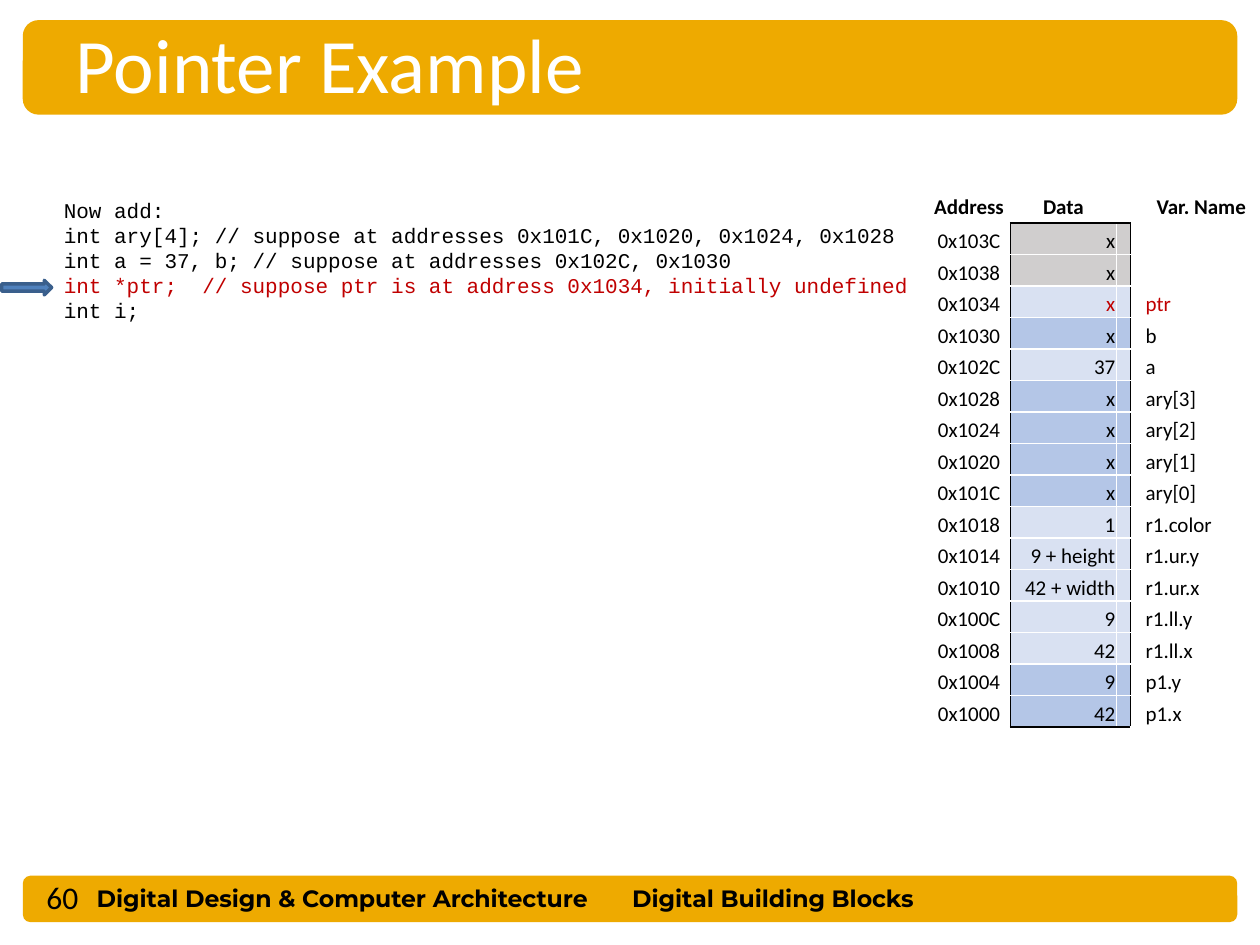
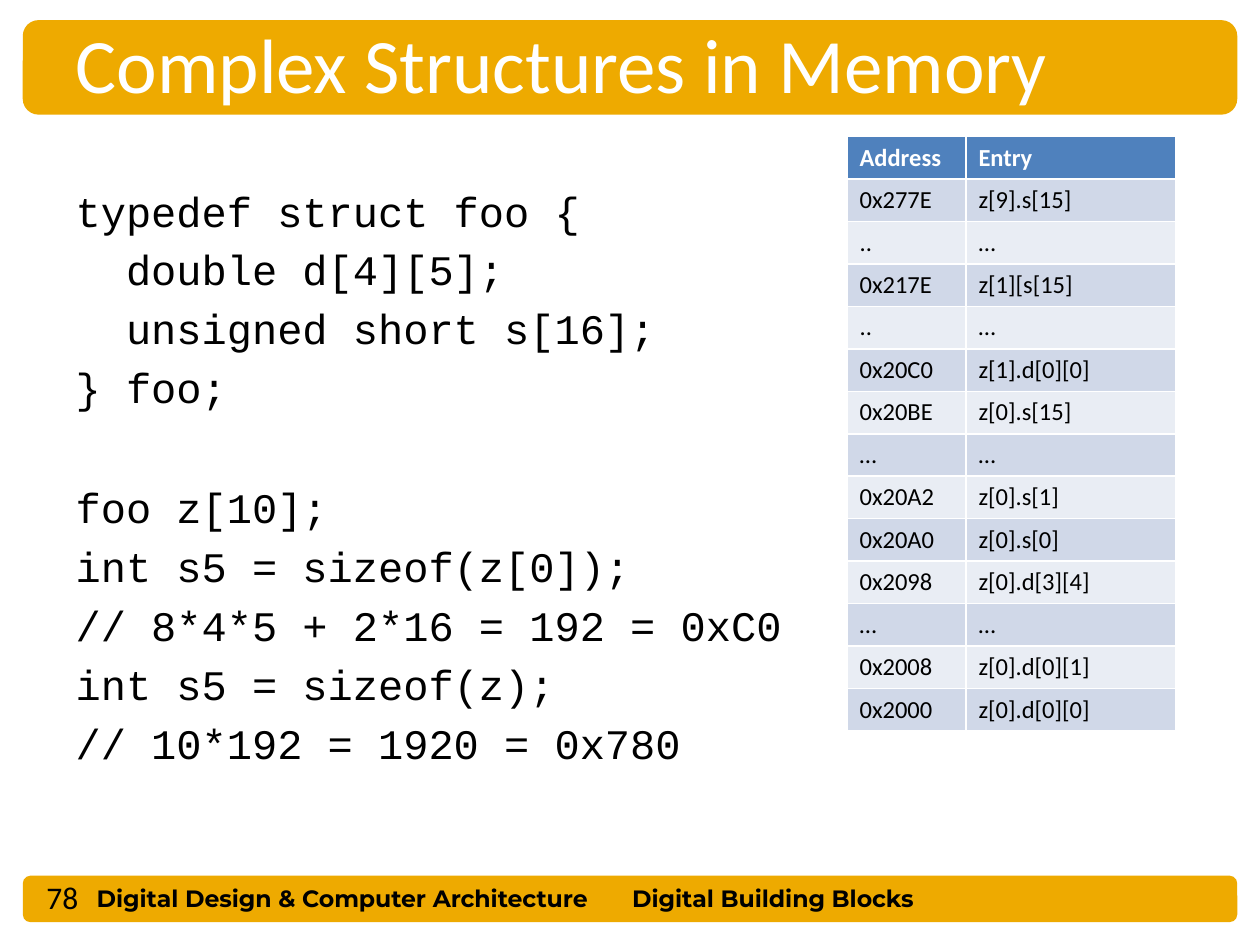
from lxml import etree
from pptx import Presentation
from pptx import util as u
from pptx.dml.color import RGBColor
from pptx.enum import shapes, text
from pptx.oxml.ns import qn

Pt = u.Pt
GOLD, BLACK, WHITE, RED = "EEAA00", "000000", "FFFFFF", "C00000"
BLUE, BLUE_EDGE, GREY = "4F81BD", "3A5F8C", "D0CECE"
PALE, MID = "D9E1F2", "B4C6E7"
BAND_ROWS = ("E9EDF4", "D0D8E8")
SANS, CODE, FOOTER = "Calibri", "Courier New", "Montserrat"
TITLE_ONLY, TITLE_AND_BODY = 5, 1


def color(value):
    return RGBColor.from_string(value)


class Slides:
    """Shared style and the slide being built."""

    def __init__(self):
        self.deck = Presentation()
        self.deck.slide_width, self.deck.slide_height = Pt(720), Pt(540)
        self.page = None

    def start(self, layout, title, number):
        self.page = self.deck.slides.add_slide(self.deck.slide_layouts[layout])
        # Bands at top and bottom
        for top, height in ((11.5, 54), (500.4, 26.6)):
            self.shape(shapes.MSO_SHAPE.ROUNDED_RECTANGLE, 13, top, 694, height, GOLD)
        # Footer
        for left, width, label in ((48.2, 320, "Digital Design & Computer Architecture"),
                                   (354.2, 212, "Digital Building Blocks")):
            self.label(left, 501.8, width, 24, label, 13.5, FOOTER, bold=True)
        self.label(19.4, 498.2, 59, 28, str(number), 18, SANS)
        # Title, in front of its band
        box = self.placeholder(self.page.shapes.title, 36, 5.8, 624, 60.5)
        box.text_frame.vertical_anchor = text.MSO_ANCHOR.MIDDLE
        para = box.text_frame.paragraphs[0]
        para.alignment = text.PP_ALIGN.LEFT
        self.add_span(para, title, 44, SANS, WHITE)

    def placeholder(self, box, left, top, width, height):
        box.left, box.top, box.width, box.height = map(Pt, (left, top, width, height))
        box.element.getparent().append(box.element)
        box.text_frame.auto_size = text.MSO_AUTO_SIZE.NONE
        return box

    def add_span(self, para, string, size, font, ink=BLACK, bold=False):
        span = para.add_run()
        span.text = string
        span.font.size, span.font.name, span.font.bold = Pt(size), font, bold
        span.font.color.rgb = color(ink)

    def shape(self, kind, left, top, width, height, fill, line=None):
        box = self.page.shapes.add_shape(kind, *map(Pt, (left, top, width, height)))
        box.shadow.inherit = False
        box.fill.solid()
        box.fill.fore_color.rgb = color(fill)
        if line:
            box.line.color.rgb, box.line.width = color(line), Pt(2)
        else:
            box.line.fill.background()

    def frame(self, left, top, width, height):
        box = self.page.shapes.add_textbox(*map(Pt, (left, top, width, height)))
        box.text_frame.word_wrap = True
        return box.text_frame

    def label(self, left, top, width, height, string, size, font, bold=False):
        para = self.frame(left, top, width, height).paragraphs[0]
        self.add_span(para, string, size, font, bold=bold)

    def code(self, frame, lines, size):
        """Add (string, ink) lines and return their paragraphs."""
        paras = []
        for string, ink in lines:
            para = frame.add_paragraph() if paras else frame.paragraphs[0]
            self.add_span(para, string, size, CODE, ink)
            paras.append(para)
        return paras

    def table(self, left, top, widths, rows, row_height):
        grid = self.page.shapes.add_table(
            rows, len(widths), Pt(left), Pt(top), Pt(sum(widths)), Pt(rows * row_height)).table
        for column, width in zip(grid.columns, widths):
            column.width = Pt(width)
        for row in grid.rows:
            row.height = Pt(row_height)
        return grid

    def cell(self, cell, string, size, ink=BLACK, bold=False, fill=None, align="LEFT"):
        para = cell.text_frame.paragraphs[0]
        para.alignment = text.PP_ALIGN[align]
        if string:
            self.add_span(para, string, size, SANS, ink, bold)
        else:
            end = etree.SubElement(para._p, qn("a:endParaRPr"))
            end.set("sz", str(size * 100))
        if fill:
            cell.fill.solid()
            cell.fill.fore_color.rgb = color(fill)
        else:
            cell.fill.background()

    def borders(self, cell, **sides):
        """Draw 1 pt borders; L, R, T and B name the sides."""
        properties = cell._tc.get_or_add_tcPr()
        for side in "LRTB":
            if side in sides:
                line = etree.SubElement(properties, qn("a:ln" + side), w=str(Pt(1)))
                fill = etree.SubElement(line, qn("a:solidFill"))
                etree.SubElement(fill, qn("a:srgbClr"), val=sides[side])


MEMORY = [  # address, data, variable, fill
    ("0x103C", "x", "", GREY),
    ("0x1038", "x", "", GREY),
    ("0x1034", "x", "ptr", PALE),
    ("0x1030", "x", "b", MID),
    ("0x102C", "37", "a", PALE),
    ("0x1028", "x", "ary[3]", MID),
    ("0x1024", "x", "ary[2]", MID),
    ("0x1020", "x", "ary[1]", MID),
    ("0x101C", "x", "ary[0]", MID),
    ("0x1018", "1", "r1.color", PALE),
    ("0x1014", "9 + height", "r1.ur.y", PALE),
    ("0x1010", "42 + width", "r1.ur.x", PALE),
    ("0x100C", "9", "r1.ll.y", PALE),
    ("0x1008", "42", "r1.ll.x", PALE),
    ("0x1004", "9", "p1.y", MID),
    ("0x1000", "42", "p1.x", MID),
]

ENTRIES = [
    ("Address", "Entry"),
    ("0x277E", "z[9].s[15]"),
    ("..", "…"),
    ("0x217E", "z[1][s[15]"),
    ("..", "…"),
    ("0x20C0", "z[1].d[0][0]"),
    ("0x20BE", "z[0].s[15]"),
    ("…", "…"),
    ("0x20A2", "z[0].s[1]"),
    ("0x20A0", "z[0].s[0]"),
    ("0x2098", "z[0].d[3][4]"),
    ("…", "…"),
    ("0x2008", "z[0].d[0][1]"),
    ("0x2000", "z[0].d[0][0]"),
]


def pointer_example(slides):
    slides.start(TITLE_ONLY, "Pointer Example", 60)
    # Declarations, with an arrow at the current one
    declarations = [
        ("Now add:", BLACK),
        ("int ary[4]; // suppose at addresses 0x101C, 0x1020, 0x1024, 0x1028", BLACK),
        ("int a = 37, b; // suppose at addresses 0x102C, 0x1030", BLACK),
        ("int *ptr;  // suppose ptr is at address 0x1034, initially undefined", RED),
        ("int i;", BLACK),
    ]
    for para in slides.code(slides.frame(29.4, 109.4, 500.6, 80), declarations, 12):
        para.line_spacing = Pt(14.3)
    slides.shape(shapes.MSO_SHAPE.RIGHT_ARROW, 1, 160.2, 28.5, 8.3, BLUE, BLUE_EDGE)

    # Memory map: the narrow columns pad the data and part it from the names
    grid = slides.table(530, 109.4, (47.5, 60.5, 8, 8, 65), len(MEMORY) + 1, 18)
    grid.first_row = grid.horz_banding = False
    for row in range(len(MEMORY) + 1):
        for column in range(5):
            cell = grid.cell(row, column)
            cell.margin_left = cell.margin_right = cell.margin_top = Pt(0.7)
            cell.margin_bottom = 0
            cell.vertical_anchor = text.MSO_ANCHOR.BOTTOM if row else text.MSO_ANCHOR.MIDDLE

    for column, heading in enumerate(("Address", "Data", "", "", "Var. Name")):
        cell = grid.cell(0, column)
        if column in (1, 2):
            slides.borders(cell, B=BLACK)
        slides.cell(cell, heading, 12, bold=True, align="CENTER")

    for row, (address, data, name, fill) in enumerate(MEMORY, 1):
        ink = RED if name == "ptr" else BLACK
        top = BLACK if row == 1 else WHITE
        bottom = BLACK if row == len(MEMORY) else WHITE
        cells = [grid.cell(row, column) for column in range(5)]
        slides.borders(cells[0], R=BLACK)
        slides.borders(cells[1], L=BLACK, T=top, B=bottom)
        slides.borders(cells[2], R=BLACK, T=top, B=bottom)
        slides.borders(cells[3], L=BLACK)
        slides.cell(cells[0], address, 12, align="CENTER")
        slides.cell(cells[1], data, 12, ink, fill=fill, align="RIGHT")
        slides.cell(cells[2], "", 12, fill=fill)
        slides.cell(cells[3], "", 12)
        slides.cell(cells[4], name, 12, ink)


def complex_structures(slides):
    slides.start(TITLE_AND_BODY, "Complex Structures in Memory", 78)
    # Structure and its sizes
    lines = [
        "typedef struct foo {",
        "double d[4][5];",
        "unsigned short s[16];",
        "} foo;",
        "foo z[10];",
        "int s5 = sizeof(z[0]);",
        "// 8*4*5 + 2*16 = 192 = 0xC0",
        "int s5 = sizeof(z);",
        "// 10*192 = 1920 = 0x780",
    ]
    box = slides.placeholder(slides.page.placeholders[1], 36, 102.2, 420, 356.4)
    paras = slides.code(box.text_frame, [(line, BLACK) for line in lines], 24)
    paras[4].space_before = Pt(40)
    for index, para in enumerate(paras):
        properties = para._p.get_or_add_pPr()
        properties.set("marL", str(Pt(28.8) if index in (1, 2) else 0))
        properties.set("indent", "0")
        etree.SubElement(properties, qn("a:buNone"))

    # Addresses of the entries
    grid = slides.table(484, 78, (68, 120), len(ENTRIES), 24)
    for row, entry in enumerate(ENTRIES):
        for column, string in enumerate(entry):
            slides.cell(grid.cell(row, column), string, 14, BLACK if row else WHITE,
                        bold=row == 0, fill=BAND_ROWS[row % 2] if row else BLUE)


def main():
    slides = Slides()
    pointer_example(slides)
    complex_structures(slides)
    slides.deck.save("out.pptx")


if __name__ == "__main__":
    main()
